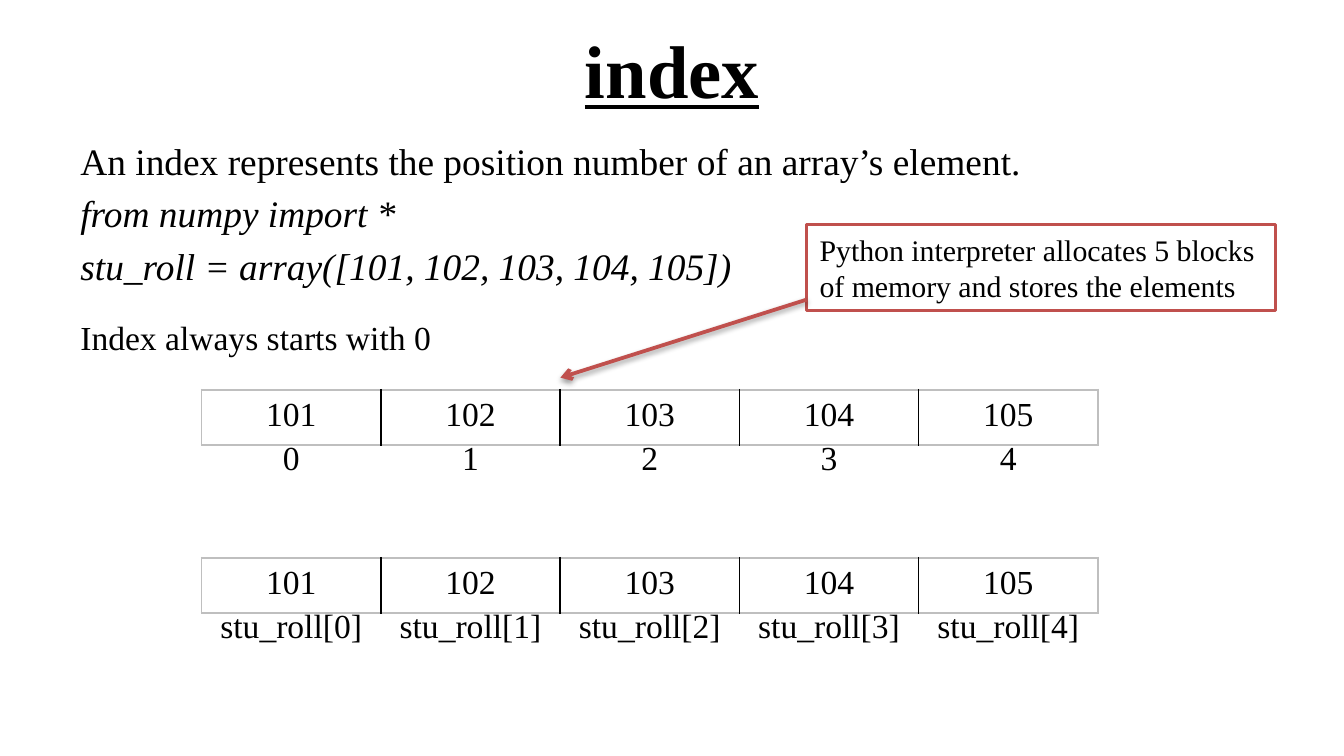
"""Builds the slide that explains array indexes."""
from lxml.etree import SubElement
from pptx import Presentation
from pptx.dml.color import RGBColor
from pptx.enum.shapes import MSO_CONNECTOR, MSO_SHAPE
from pptx.enum.text import MSO_ANCHOR, PP_ALIGN
from pptx.oxml import parse_xml
from pptx.oxml.ns import nsdecls, qn
from pptx.util import Inches, Pt

COLORS = {"ink": "000000", "paper": "FFFFFF", "red": "C0504D", "edge": "BFBFBF"}
FONT = "Times New Roman"
ROLLS = ["101", "102", "103", "104", "105"]


def color(name):
    return RGBColor.from_string(COLORS[name])


def style(para, size, bold=False, italic=False, under=False):
    font = para.font
    font.name, font.size = FONT, Pt(size)
    font.bold, font.italic, font.underline = bold, italic, under
    font.color.rgb = color("ink")


def add_text(slide, box, text, size, wrap=True, **look):
    frame = slide.shapes.add_textbox(*map(Inches, box)).text_frame
    frame.word_wrap = wrap
    frame.text = text
    for para in frame.paragraphs:
        style(para, size, **look)
    return frame


def add_note(slide, box, text):
    note = slide.shapes.add_shape(MSO_SHAPE.RECTANGLE, *map(Inches, box))
    note.shadow.inherit = False
    note.fill.solid()
    note.fill.fore_color.rgb = color("paper")
    note.line.color.rgb = color("red")
    note.line.width = Pt(2)
    note.text_frame.text = text
    para = note.text_frame.paragraphs[0]
    para.alignment = PP_ALIGN.LEFT
    style(para, 16)


def add_arrow(slide, start, end):
    arrow = slide.shapes.add_connector(
        MSO_CONNECTOR.STRAIGHT, *map(Inches, start + end))
    arrow.line.color.rgb = color("red")
    arrow.line.width = Pt(2)
    SubElement(arrow.line._get_or_add_ln(), qn("a:tailEnd"), type="arrow")
    arrow._element.spPr.append(parse_xml(
        f'<a:effectLst {nsdecls("a")}><a:outerShdw blurRad="{Pt(3.1)}" '
        f'dist="{Pt(1.6)}" dir="5400000" rotWithShape="0">'
        f'<a:srgbClr val="{COLORS["ink"]}"><a:alpha val="38000"/></a:srgbClr>'
        '</a:outerShdw></a:effectLst>'))


def make_edge(side, name):
    fill = "<a:noFill/>"
    if name:
        fill = f'<a:solidFill><a:srgbClr val="{COLORS[name]}"/></a:solidFill>'
    return parse_xml(f'<a:ln{side} {nsdecls("a")} w="{Pt(1)}">{fill}</a:ln{side}>')


def add_row(slide, top, texts, ruled):
    frame = slide.shapes.add_table(
        1, len(texts), Inches(1.5), Inches(top), Inches(6.67), Inches(0.41))
    table = frame.table
    table.first_row = table.horz_banding = False
    last = len(texts) - 1
    for col, text in enumerate(texts):
        cell = table.cell(0, col)
        cell.text = text
        para = cell.text_frame.paragraphs[0]
        para.alignment = PP_ALIGN.CENTER
        style(para, 18)
        names = {"L": "ink" if col else "edge",
                 "R": "ink" if col < last else "edge",
                 "T": "edge", "B": "edge"}
        props = cell._tc.get_or_add_tcPr()
        for side, name in names.items():
            props.append(make_edge(side, name if ruled else None))
        cell.fill.background()


def main():
    deck = Presentation()
    deck.slide_width = Inches(10)
    deck.slide_height = deck.slide_width * 9 // 16
    slide = deck.slides.add_slide(deck.slide_layouts[6])

    title = add_text(slide, (0.5, 0.04, 9, 0.94), "index", 40, bold=True, under=True)
    title.vertical_anchor = MSO_ANCHOR.MIDDLE
    title.paragraphs[0].alignment = PP_ALIGN.CENTER

    body = add_text(
        slide, (0.5, 0.98, 9, 1.74),
        "An index represents the position number of an array’s element.\n"
        "from numpy import *\n"
        "stu_roll = array([101, 102, 103, 104, 105])", 20)
    for para in body.paragraphs[1:]:
        para.space_before = Pt(4)
        para.font.italic = True

    add_text(slide, (0.5, 2.31, 2.83, 0.4), "Index always starts with 0", 18, wrap=False)
    add_note(slide, (6, 1.67, 3.49, 0.64),
             "Python interpreter allocates 5 blocks of memory and stores the elements")
    add_arrow(slide, (6, 2.23), (4.17, 2.81))

    spots = range(len(ROLLS))
    labels = [[str(i) for i in spots], [f"stu_roll[{i}]" for i in spots]]
    for top, names in zip((2.9, 4.15), labels):
        add_row(slide, top, ROLLS, True)
        add_row(slide, top + 0.33, names, False)

    deck.save("out.pptx")


if __name__ == "__main__":
    main()
